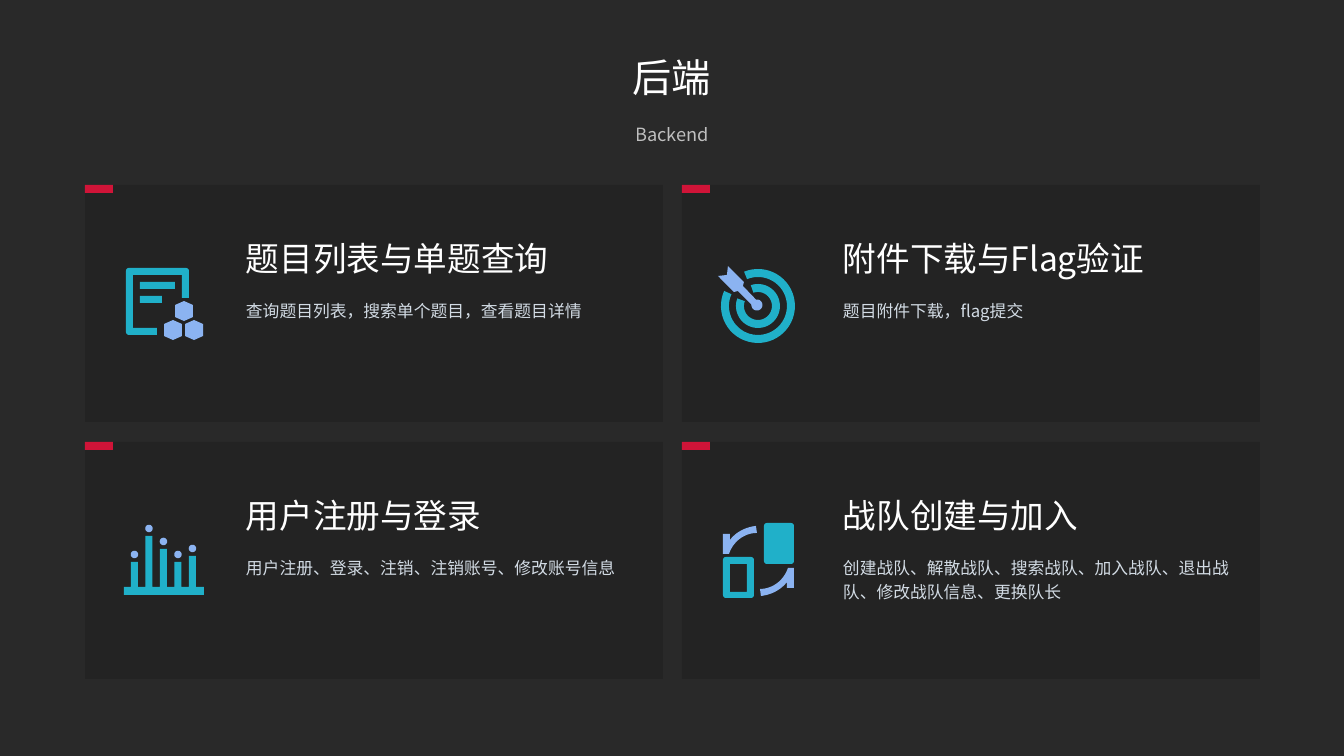
from math import cos, radians, sin

from lxml.etree import SubElement
from pptx import Presentation
from pptx.dml.color import RGBColor as RGB
from pptx.enum.shapes import MSO_SHAPE as SHAPE
from pptx.enum.text import MSO_ANCHOR as ANCHOR, MSO_AUTO_SIZE as AUTO, PP_ALIGN as ALIGN
from pptx.oxml.ns import qn
from pptx.util import Pt

SLIDE_W, SLIDE_H = 1344, 756
EMU_PER_PX = 12192000 / SLIDE_W
FONT = "Noto Sans CJK SC"
COLORS = {
    "background": "292929", "card": "0D0D0D", "accent": "D01438",
    "heading": "FFFFFF", "body": "D2DBE4", "teal": "20B0C9", "sky": "8BB3F1",
}


def emu(px):
    return round(px * EMU_PER_PX)


# Outline helpers: each returns a list of (x, y) points in px
def arc(cx, cy, radius, start, end, steps=48):
    angles = [radians(start + (end - start) * i / steps) for i in range(steps + 1)]
    return [(cx + radius * cos(a), cy + radius * sin(a)) for a in angles]


def band(cx, cy, outer, inner, start, end):
    return arc(cx, cy, outer, start, end) + arc(cx, cy, inner, end, start)


def curve(a, b, c, d, steps=16):
    ts = [i / steps for i in range(steps + 1)]
    return [tuple((1 - t) ** 3 * p + 3 * (1 - t) ** 2 * t * q + 3 * (1 - t) * t ** 2 * r + t ** 3 * s
                  for p, q, r, s in zip(a, b, c, d)) for t in ts]


def box(left, top, right, bottom):
    return [(left, top), (right, top), (right, bottom), (left, bottom)]


def rounded(left, top, right, bottom, radius=3):
    corners = box(left + radius, top + radius, right - radius, bottom - radius)
    return [point for i, (x, y) in enumerate(corners)
            for point in arc(x, y, radius, 180 + 90 * i, 270 + 90 * i, 6)]


def hexagon(cx, cy):
    return [(cx + dx, cy + dy) for dx, dy in
            ((0, -10), (9, -6), (9, 6), (0, 10), (-9, 6), (-9, -6))]


class Board:
    def __init__(self):
        self.deck = Presentation()
        self.deck.slide_width, self.deck.slide_height = emu(SLIDE_W), emu(SLIDE_H)
        self.slide = self.deck.slides.add_slide(self.deck.slide_layouts[6])
        self.paint(self.slide.background.fill, "background")

    def paint(self, fill, color, alpha=None):
        fill.solid()
        fill.fore_color.rgb = RGB.from_string(COLORS[color])
        if alpha:
            srgb = next(fill._xPr.iter(qn("a:srgbClr")))
            SubElement(srgb, qn("a:alpha")).set("val", str(alpha * 1000))

    def finish(self, shape, color, alpha=None):
        self.paint(shape.fill, color, alpha)
        shape.line.fill.background()
        shape.shadow.inherit = False

    def rect(self, left, top, width, height, color, alpha=None):
        shape = self.slide.shapes.add_shape(SHAPE.RECTANGLE, *map(emu, (left, top, width, height)))
        self.finish(shape, color, alpha)

    def outline(self, contours, color):
        contours = [[(emu(x), emu(y)) for x, y in points] for points in contours]
        builder = self.slide.shapes.build_freeform(*contours[0][0])
        for i, points in enumerate(contours):
            if i:
                builder.move_to(*points[0])
            builder.add_line_segments(points[1:], close=True)
        self.finish(builder.convert_to_shape(), color)

    def text(self, words, left, top, width, height, size, color,
             alpha=None, inset=3, anchor=ANCHOR.TOP, **paragraph_format):
        frame = self.slide.shapes.add_textbox(*map(emu, (left, top, width, height))).text_frame
        margins = {f"margin_{side}": emu(inset) for side in ("left", "top", "right", "bottom")}
        frame_format = {"word_wrap": True, "auto_size": AUTO.SHAPE_TO_FIT_TEXT,
                        "vertical_anchor": anchor, **margins}
        for name, value in frame_format.items():
            setattr(frame, name, value)
        paragraph = frame.paragraphs[0]
        for name, value in paragraph_format.items():
            setattr(paragraph, name, value)
        run = paragraph.add_run()
        run.text = words
        run.font.size, run.font.name = Pt(size), FONT
        self.paint(run.font.fill, color, alpha)
        SubElement(run.font._element, qn("a:ea")).set("typeface", FONT)


def draw_list_icon(board):
    page = (arc(129, 271, 3, 180, 270, 6) + arc(186, 271, 3, 270, 360, 6)
            + [(189, 298), (182, 298), (182, 275), (133, 275), (133, 328), (157, 328), (157, 335)]
            + arc(129, 332, 3, 90, 180, 6))
    board.outline([page, box(140, 282, 175, 289), box(140, 296, 162, 303)], "teal")
    board.outline([hexagon(184, 311), hexagon(173, 330), hexagon(194, 330)], "sky")


def draw_target_icon(board):
    board.outline([band(758, 306, 37, 29, 248, 564), band(758, 306, 22, 14, 251, 560)], "teal")
    dart = [(738, 291), (751, 304), *arc(757, 305, 5.5, 180, -100), (743, 286), (744, 282),
            (728, 266), (727, 275), (718, 276), (734, 292)]
    board.outline([dart], "sky")


def draw_bars_icon(board):
    bars = [(131 + 14.5 * i, top) for i, top in enumerate((562, 536, 549, 562, 556))]
    steps = [point for x, top in bars
             for point in ((x, 587), (x, top), (x + 7, top), (x + 7, 587))]
    board.outline([[(124, 595), (124, 587), *steps, (204, 587), (204, 595)]], "teal")
    board.outline([arc(x + 3.5, top - 7.5, 3.7, 0, 360) for x, top in bars], "sky")


def draw_swap_icon(board):
    board.outline([rounded(723, 557, 754, 598), box(730, 564, 747, 592),
                   rounded(764, 523, 794, 564)], "teal")
    lower = (curve((760, 589), (773, 589), (784, 580), (788, 568))
             + [(794, 568), (794, 588), (787, 588)]
             + curve((787, 582), (781, 590), (771, 595), (761, 596)))
    upper = [(1517 - x, 1122 - y) for x, y in lower]  # half turn of the lower arrow
    board.outline([lower, upper], "sky")


CARDS = [
    ("题目列表与单题查询", "查询题目列表，搜索单个题目，查看题目详情", 30, draw_list_icon),
    ("附件下载与Flag验证", "题目附件下载，flag提交", 30, draw_target_icon),
    ("用户注册与登录", "用户注册、登录、注销、注销账号、修改账号信息", 30, draw_bars_icon),
    ("战队创建与加入", "创建战队、解散战队、搜索战队、加入战队、退出战队、修改战队信息、更换队长", 54,
     draw_swap_icon),
]
CARD_LEFT, CARD_TOP, CARD_W, CARD_H = 85, 185, 578, 237
PITCH_X, PITCH_Y = 597, 257


def main():
    board = Board()

    # Heading
    board.text("后端", 482, 48, 380, 58, 28, "heading", inset=6,
               anchor=ANCHOR.MIDDLE, alignment=ALIGN.CENTER)
    board.text("Backend", 447, 101, 450, 47, 13, "heading", alpha=70,
               alignment=ALIGN.CENTER, line_spacing=1.9, space_after=Pt(4.5))

    # Two by two feature cards
    for i, (feature, details, details_h, draw_icon) in enumerate(CARDS):
        left, top = CARD_LEFT + i % 2 * PITCH_X, CARD_TOP + i // 2 * PITCH_Y
        board.rect(left, top, CARD_W, CARD_H, "card", alpha=20)
        board.rect(left, top, 28, 8, "accent")
        draw_icon(board)
        board.text(feature, left + 158, top + 50, 397, 46, 24, "heading", anchor=ANCHOR.MIDDLE)
        board.text(details, left + 158, top + 109, 397, details_h, 12, "body", line_spacing=1.2)

    board.deck.save("out.pptx")


if __name__ == "__main__":
    main()
